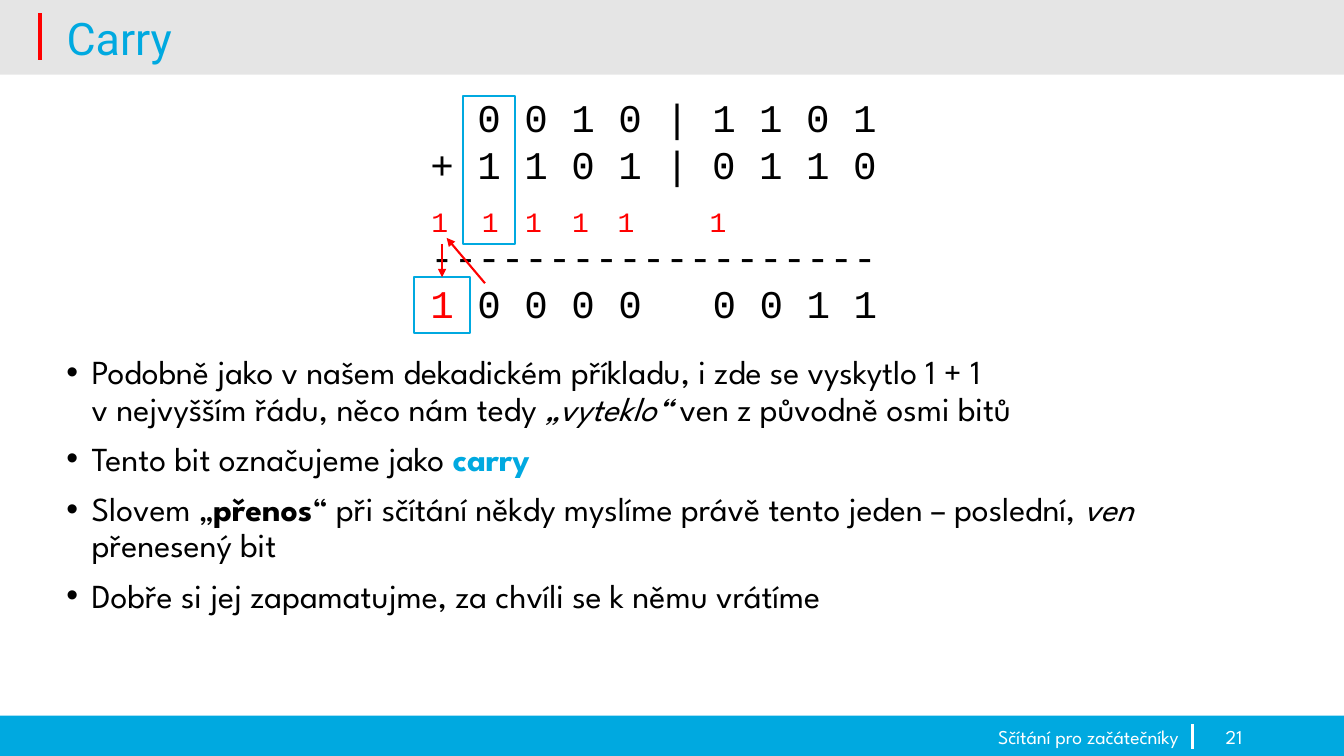
"""Builds the slide that explains the carry bit in binary addition."""
from dataclasses import dataclass

from lxml import etree
from pptx import Presentation
from pptx import util as u
from pptx.dml.color import RGBColor
from pptx.enum import shapes, text
from pptx.oxml.ns import qn

BLUE, RED, BLACK, WHITE, GREY = "00A9E0", "FF0000", "000000", "FFFFFF", "E5E5E5"
MONO, BODY, HEAD = "Courier New", "League Spartan", "Roboto"
LEFT, RIGHT = text.PP_ALIGN.LEFT, text.PP_ALIGN.RIGHT
MONO_SIZE = 28
CHAR_WIDTH = 0.6 * MONO_SIZE


@dataclass
class Box:
    left: float
    top: float
    width: float
    height: float
    fill: str = ""
    line: str = ""


@dataclass
class Line:
    start: tuple[float, float]
    end: tuple[float, float]
    color: str
    width: float
    arrow: bool = False


@dataclass
class Run:
    text: str
    color: str = BLACK
    bold: bool = False
    italic: bool = False


@dataclass
class Digit:
    left: float
    align: text.PP_ALIGN = LEFT


BANDS = [Box(0, 7.1, 13.33, 0.4, fill=BLUE), Box(0, 0, 13.33, 0.74, fill=GREY)]
RULES = [Line((11.83, 7.43), (11.83, 7.18), WHITE, 2.25),
         Line((0.4, 0.13), (0.4, 0.6), RED, 3)]
FOOTER = [(Box(0.92, 7.18, 10.87, 0.25), "Sčítání pro začátečníky"),
          (Box(11.92, 7.18, 0.5, 0.25), "21")]
BULLETS = [
    [Run("Podobně jako v našem dekadickém příkladu, i zde se vyskytlo 1 + 1"), Run("\v"),
     Run("v nejvyšším řádu, něco nám tedy "), Run("„vyteklo“", italic=True),
     Run(" ven z původně osmi bitů")],
    [Run("Tento bit označujeme jako "), Run("carry", BLUE, bold=True)],
    [Run("Slovem „"), Run("přenos", bold=True),
     Run("“ při sčítání někdy myslíme právě tento jeden – poslední, "),
     Run("ven", italic=True), Run(" přenesený bit")],
    [Run("Dobře si jej zapamatujme, za chvíli se k němu vrátíme")],
]
ADDITION = [
    [Run("0 0 1 0 | 1 1 0 1")],
    [Run("+ 1 1 0 1 | 0 1 1 0")],
    [Run("-" * 19)],
    [Run("1", RED), Run(" 0 0 0 0\t0 0 1 1")],
]
CARRIES = [Digit(6.94), Digit(5.98, RIGHT), Digit(5.11), Digit(5.53, RIGHT),
           Digit(4.68), Digit(4.18)]
CARRY_OUT = Box(4.11, 2.75, 0.55, 0.55, line=BLUE)
TOP_COLUMN = Box(4.59, 0.95, 0.52, 1.47, line=BLUE)
CARRY_DOWN = Line((4.39, 2.42), (4.39, 2.75), RED, 1.5, arrow=True)
CARRY_UP = Line((4.81, 2.81), (4.43, 2.36), RED, 1.5, arrow=True)


def rgb(color: str) -> RGBColor:
    return RGBColor.from_string(color)


def place(sp, box: Box) -> None:
    sp.left, sp.top = u.Inches(box.left), u.Inches(box.top)
    sp.width, sp.height = u.Inches(box.width), u.Inches(box.height)


def draw_box(slide, box: Box):
    sp = slide.shapes.add_shape(shapes.MSO_SHAPE.RECTANGLE, 0, 0, 0, 0)
    place(sp, box)
    sp.shadow.inherit = False
    if box.fill:
        sp.fill.solid()
        sp.fill.fore_color.rgb = rgb(box.fill)
    else:
        sp.fill.background()
    if box.line:
        sp.line.color.rgb = rgb(box.line)
        sp.line.width = u.Pt(1.5)
    else:
        sp.line.fill.background()
    return sp


def draw_line(slide, line: Line):
    ends = [u.Inches(v) for v in (*line.start, *line.end)]
    cxn = slide.shapes.add_connector(shapes.MSO_CONNECTOR.STRAIGHT, *ends)
    cxn.line.color.rgb = rgb(line.color)
    cxn.line.width = u.Pt(line.width)
    if line.arrow:
        etree.SubElement(cxn.line._get_or_add_ln(), qn("a:tailEnd"), type="triangle")
    etree.SubElement(cxn._element.spPr, qn("a:effectLst"))
    return cxn


def write(p, runs: list[Run], font: str, size: float) -> None:
    for run in runs:
        if run.text == "\v":
            p.add_line_break()
            continue
        r = p.add_run()
        r.text = run.text
        r.font.name, r.font.size = font, u.Pt(size)
        r.font.color.rgb = rgb(run.color)
        r.font.bold, r.font.italic = run.bold, run.italic


def draw_text(slide, box: Box, paragraphs: list[list[Run]], font: str, size: float,
              align: text.PP_ALIGN = LEFT):
    sp = slide.shapes.add_textbox(0, 0, 0, 0)
    place(sp, box)
    tf = sp.text_frame
    tf.word_wrap = True
    for i, runs in enumerate(paragraphs):
        p = tf.add_paragraph() if i else tf.paragraphs[0]
        p.alignment = align
        write(p, runs, font, size)
    return sp


def draw_title(slide) -> None:
    sp = slide.shapes.title
    place(sp, Box(0.56, 0.07, 12.77, 0.67))
    sp.text_frame.vertical_anchor = text.MSO_ANCHOR.MIDDLE
    p = sp.text_frame.paragraphs[0]
    p.alignment, p.line_spacing = LEFT, 0.9
    write(p, [Run("Carry", BLUE)], HEAD, 32)


def draw_bullets(slide) -> None:
    sp = draw_text(slide, Box(0.56, 3.48, 12.18, 3.5), BULLETS, BODY, 24)
    for p in sp.text_frame.paragraphs:
        p.line_spacing, p.space_before = 0.9, u.Pt(10)
        pPr = p._p.get_or_add_pPr()
        pPr.set("marL", str(u.Inches(0.25)))
        pPr.set("indent", str(-u.Inches(0.25)))
        etree.SubElement(pPr, qn("a:buFont"), typeface="Arial")
        etree.SubElement(pPr, qn("a:buChar"), char="•")


def draw_addition(slide) -> None:
    sp = draw_text(slide, Box(4.17, 0.88, 4.98, 2.46), ADDITION, MONO, MONO_SIZE)
    first, _, dashes, total = sp.text_frame.paragraphs
    first._p.get_or_add_pPr().set("marL", str(u.Pt(2 * CHAR_WIDTH)))
    dashes.space_before = u.Pt(31.7)
    tabs = etree.SubElement(total._p.get_or_add_pPr(), qn("a:tabLst"))
    etree.SubElement(tabs, qn("a:tab"), pos=str(u.Pt(12 * CHAR_WIDTH)), algn="l")


def main() -> None:
    prs = Presentation()
    prs.slide_width, prs.slide_height = u.Inches(13.33), u.Inches(7.5)
    slide = prs.slides.add_slide(prs.slide_layouts[5])
    for band in BANDS:
        draw_box(slide, band)
    for rule in RULES:
        draw_line(slide, rule)
    title = slide.shapes.title._element
    title.getparent().append(title)
    draw_title(slide)
    for box, label in FOOTER:
        sp = draw_text(slide, box, [[Run(label, WHITE)]], BODY, 14, RIGHT)
        sp.text_frame.vertical_anchor = text.MSO_ANCHOR.MIDDLE
    draw_bullets(slide)
    draw_addition(slide)
    digits = [draw_text(slide, Box(d.left, 1.98, 0.41, 0.44), [[Run("1", RED)]],
                        MONO, 20, d.align) for d in CARRIES]
    carry_out = draw_box(slide, CARRY_OUT)
    draw_box(slide, TOP_COLUMN)
    down = draw_line(slide, CARRY_DOWN)
    down.begin_connect(digits[-1], 2)
    down.end_connect(carry_out, 0)
    draw_line(slide, CARRY_UP)
    prs.save("out.pptx")


if __name__ == "__main__":
    main()
